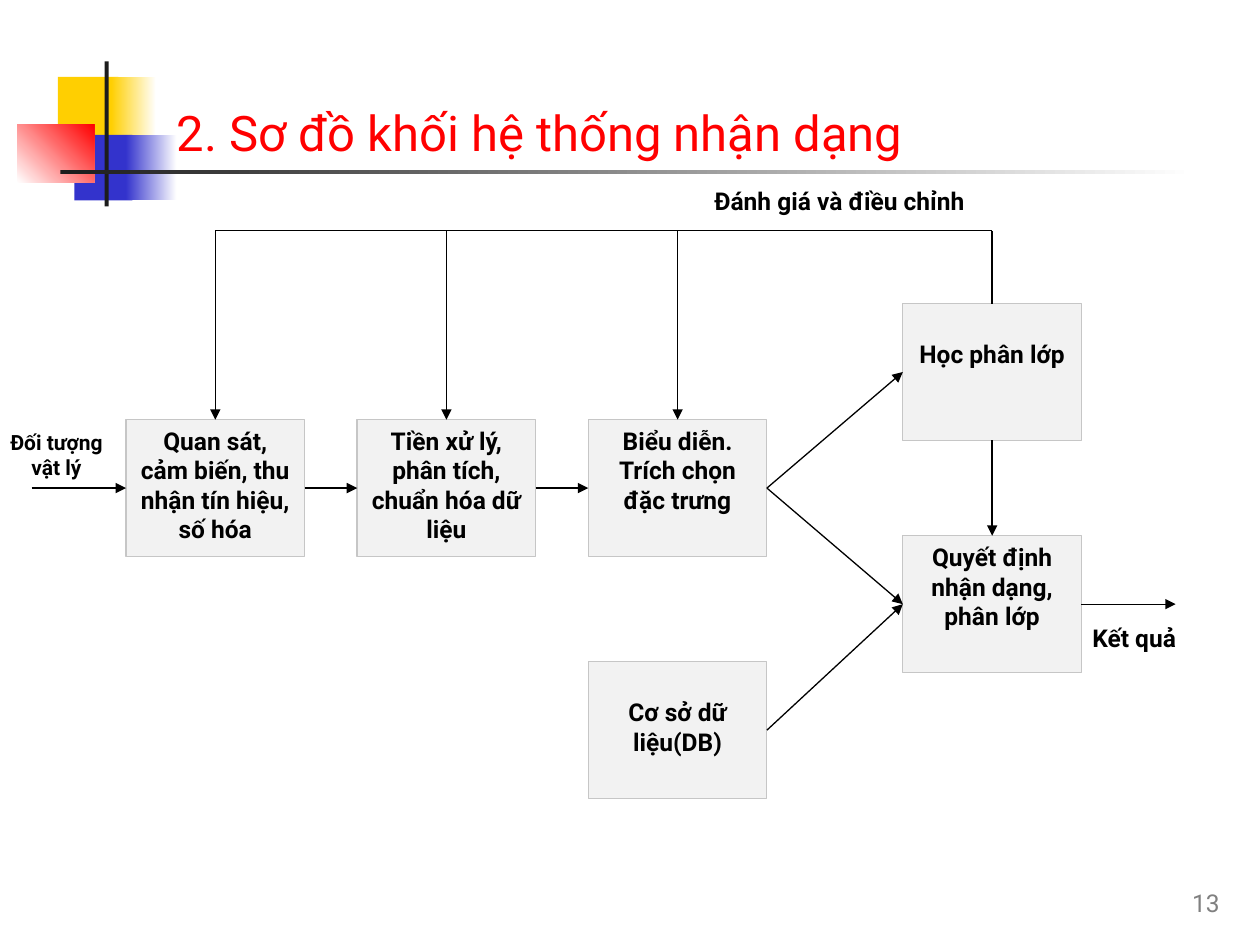
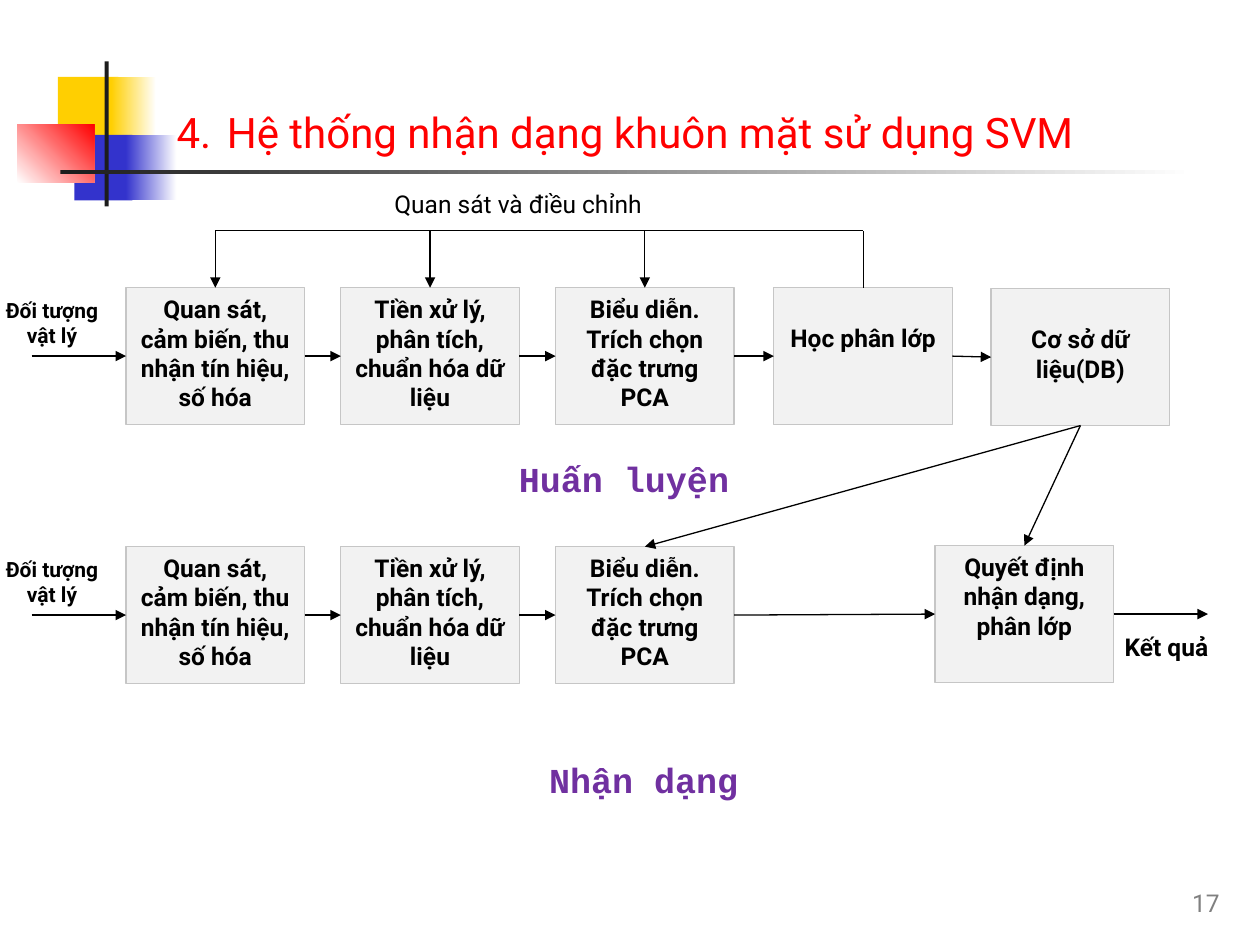
from dataclasses import dataclass

from lxml import etree
from pptx import Presentation
from pptx.dml.color import RGBColor
from pptx.enum.shapes import MSO_CONNECTOR, MSO_SHAPE
from pptx.enum.text import MSO_ANCHOR, PP_ALIGN
from pptx.oxml.ns import qn
from pptx.util import Cm, Pt

RECT = MSO_SHAPE.RECTANGLE
STRAIGHT = MSO_CONNECTOR.STRAIGHT
TOP, BOTTOM = MSO_ANCHOR.TOP, MSO_ANCHOR.BOTTOM
LEFT, CENTER, RIGHT = PP_ALIGN.LEFT, PP_ALIGN.CENTER, PP_ALIGN.RIGHT
# Connection sites of a rectangle
N, W, S, E = range(4)


@dataclass(frozen=True)
class Theme:
    font: str = "Roboto"
    phase_font: str = "Courier New"
    title: str = "FF0000"
    ink: str = "000000"
    page: str = "808080"
    phase: str = "7030A0"
    box: str = "F2F2F2"
    edge: str = "C6C6C6"
    white: str = "FFFFFF"
    yellow: str = "FFCF01"
    blue: str = "3333CC"
    red: str = "FF0000"
    bar: str = "1C1C1C"
    body_pt: int = 14
    input_pt: int = 12
    phase_pt: int = 20
    line_pt: float = 0.75


T = Theme()
BOX_W, BOX_H = 3.6, 2.76
BUS_Y = 4.65
INPUT_X = 0.64

SENSE = "Quan sát, cảm biến, thu nhận tín hiệu, số hóa"
PREPARE = "Tiền xử lý, phân tích, chuẩn hóa dữ liệu"
FEATURES = "Biểu diễn. Trích chọn đặc trưng"
LEARN = "Học phân lớp"
DECIDE = "Quyết định nhận dạng, phân lớp"
DATABASE = "Cơ sở dữ liệu(DB)"


def rgb(value):
    return RGBColor.from_string(value)


def style_run(r, size, color, bold=False, font=T.font):
    r.font.size, r.font.bold, r.font.name = Pt(size), bold, font
    r.font.color.rgb = rgb(color)


def style_text(tf, size, color, bold=False, font=T.font, align=LEFT):
    for p in tf.paragraphs:
        p.alignment = align
        for r in p.runs:
            style_run(r, size, color, bold, font)


def rect(s, x, y, w, h, *colors, angle=0):
    """Rectangle with one plain colour or a two-colour gradient."""
    sp = s.shapes.add_shape(RECT, Cm(x), Cm(y), Cm(w), Cm(h))
    sp.shadow.inherit = False
    sp.line.fill.background()
    if len(colors) == 1:
        sp.fill.solid()
        sp.fill.fore_color.rgb = rgb(colors[0])
    else:
        sp.fill.gradient()
        sp.fill.gradient_angle = angle
        for stop, color in zip(sp.fill.gradient_stops, colors):
            stop.color.rgb = rgb(color)
    return sp


def label(s, text, x, y, w, h=0.62, size=T.body_pt, color=T.ink, bold=True,
          font=T.font, align=LEFT, anchor=TOP):
    tf = s.shapes.add_textbox(Cm(x), Cm(y), Cm(w), Cm(h)).text_frame
    tf.margin_left = tf.margin_right = tf.margin_top = tf.margin_bottom = 0
    tf.word_wrap = False
    tf.vertical_anchor = anchor
    tf.text = text
    style_text(tf, size, color, bold, font, align)
    return tf


def block(s, text, x, y, lowered=False):
    """Diagram box; lowered text starts one line further down."""
    sp = rect(s, x, y, BOX_W, BOX_H, T.box)
    sp.line.color.rgb, sp.line.width = rgb(T.edge), Pt(T.line_pt)
    tf = sp.text_frame
    tf.word_wrap = True
    tf.vertical_anchor = TOP
    tf.margin_top = Cm(0.72 if lowered else 0.13)
    tf.text = text
    style_text(tf, T.body_pt, T.ink, True, align=CENTER)
    return sp


def line(s, x1, y1, x2, y2, arrow=True):
    cx = s.shapes.add_connector(STRAIGHT, x1, y1, x2, y2)
    cx.line.color.rgb, cx.line.width = rgb(T.ink), Pt(T.line_pt)
    sp_pr = cx._element.spPr
    if arrow:
        etree.SubElement(sp_pr.find(qn("a:ln")), qn("a:tailEnd"), type="triangle")
    etree.SubElement(sp_pr, qn("a:effectLst"))
    return cx


def join(s, a, a_site, b, b_site):
    cx = line(s, 0, 0, 0, 0)
    cx.begin_connect(a, a_site)
    cx.end_connect(b, b_site)


def chain(s, boxes):
    for a, b in zip(boxes, boxes[1:]):
        join(s, a, E, b, W)


def middle(sp):
    return sp.left + sp.width // 2, sp.top + sp.height // 2


def stages(s, x, y, pitch, features, input_w):
    """Input arrow and the three processing boxes."""
    boxes = [block(s, text, x + i * pitch, y)
             for i, text in enumerate((SENSE, PREPARE, features))]
    chain(s, boxes)
    mid_y = middle(boxes[0])[1]
    line(s, Cm(INPUT_X), mid_y, Cm(x), mid_y)
    label(s, "Đối tượng\nvật lý", 0, y + 0.2, input_w, 1.02, T.input_pt, align=CENTER)
    return boxes


def feedback(s, source, targets):
    """Line from the source up to the bus and back down to each target."""
    bus, source_x = Cm(BUS_Y), middle(source)[0]
    line(s, source_x, source.top, source_x, bus, arrow=False)
    line(s, source_x, bus, middle(targets[0])[0], bus, arrow=False)
    for sp in targets:
        x = middle(sp)[0]
        line(s, x, bus, x, sp.top)


def decision(s, x, y):
    """Decision box with its result arrow."""
    sp = block(s, DECIDE, x, y)
    mid_y, right = middle(sp)[1], sp.left + sp.width
    line(s, right, mid_y, right + Cm(1.9), mid_y)
    label(s, "Kết quả", x + BOX_W + 0.22, y + 1.75, 1.7)
    return sp


def frame(prs, title_runs, number):
    """Blank slide with corner ornament, title and page number."""
    s = prs.slides.add_slide(prs.slide_layouts[6])
    rect(s, 1.17, 1.55, 1.22, 1.32, T.yellow)
    rect(s, 2.24, 1.55, 0.91, 1.32, T.yellow, T.white)
    rect(s, 1.5, 2.72, 1.17, 1.32, T.blue)
    rect(s, 2.54, 2.72, 1.02, 1.32, T.blue, T.white)
    rect(s, 0.35, 2.51, 1.55, 1.17, T.white, T.red, angle=45)
    rect(s, 2.11, 1.24, 0.08, 2.92, T.bar)
    rect(s, 1.22, 3.43, 22.86, 0.08, T.bar, T.white)
    p = label(s, "", 3.56, 0.58, 21.03, 2.67, anchor=BOTTOM).paragraphs[0]
    for text, size in title_runs:
        r = p.add_run()
        r.text = text
        style_run(r, size, T.title)
    label(s, str(number), 19.56, 17.35, 5.03, 1.14, color=T.page, bold=False,
          align=RIGHT, anchor=BOTTOM)
    return s


def block_diagram(prs):
    s = frame(prs, [("2. Sơ đồ khối hệ thống nhận dạng", 28)], 13)
    boxes = stages(s, 2.54, 8.46, 4.66, FEATURES, 2.28)
    learn = block(s, LEARN, 18.2, 6.12, lowered=True)
    decide = decision(s, 18.2, 10.8)
    database = block(s, DATABASE, 11.86, 13.34, lowered=True)
    join(s, learn, S, decide, N)
    for a, b in ((boxes[-1], learn), (boxes[-1], decide), (database, decide)):
        join(s, a, E, b, W)
    feedback(s, learn, boxes)
    label(s, "Đánh giá và điều chỉnh", 14.4, 3.76, 5.56)


def face_recognition(prs):
    s = frame(prs, [("4.", 24), (" ", 36),
                    ("Hệ thống nhận dạng khuôn mặt sử dụng SVM", 24)], 17)
    features = FEATURES + "\nPCA"

    # Training row
    boxes = stages(s, 2.54, 5.8, 4.33, features, 2.1)
    learn = block(s, LEARN, 15.6, 5.8, lowered=True)
    database = block(s, DATABASE, 19.98, 5.82, lowered=True)
    chain(s, [boxes[-1], learn, database])
    feedback(s, learn, boxes)
    label(s, "Quan sát và điều chỉnh", 7.95, 3.81, 5.76, bold=False)

    # Recognition row
    known = stages(s, 2.54, 11.02, 4.33, features, 2.1)
    decide = decision(s, 18.85, 11)
    chain(s, [known[-1], decide])
    for sp in (known[-1], decide):
        join(s, database, S, sp, N)

    # Phase names
    for text, x, y in (("Huấn luyện", 10.46, 9.22), ("Nhận dạng", 11.07, 15.29)):
        label(s, text, x, y, 4.27, 0.86, T.phase_pt, T.phase, font=T.phase_font)


def main():
    prs = Presentation()
    prs.slide_width, prs.slide_height = Cm(25.4), Cm(19.05)
    block_diagram(prs)
    face_recognition(prs)
    prs.save("out.pptx")


if __name__ == "__main__":
    main()
